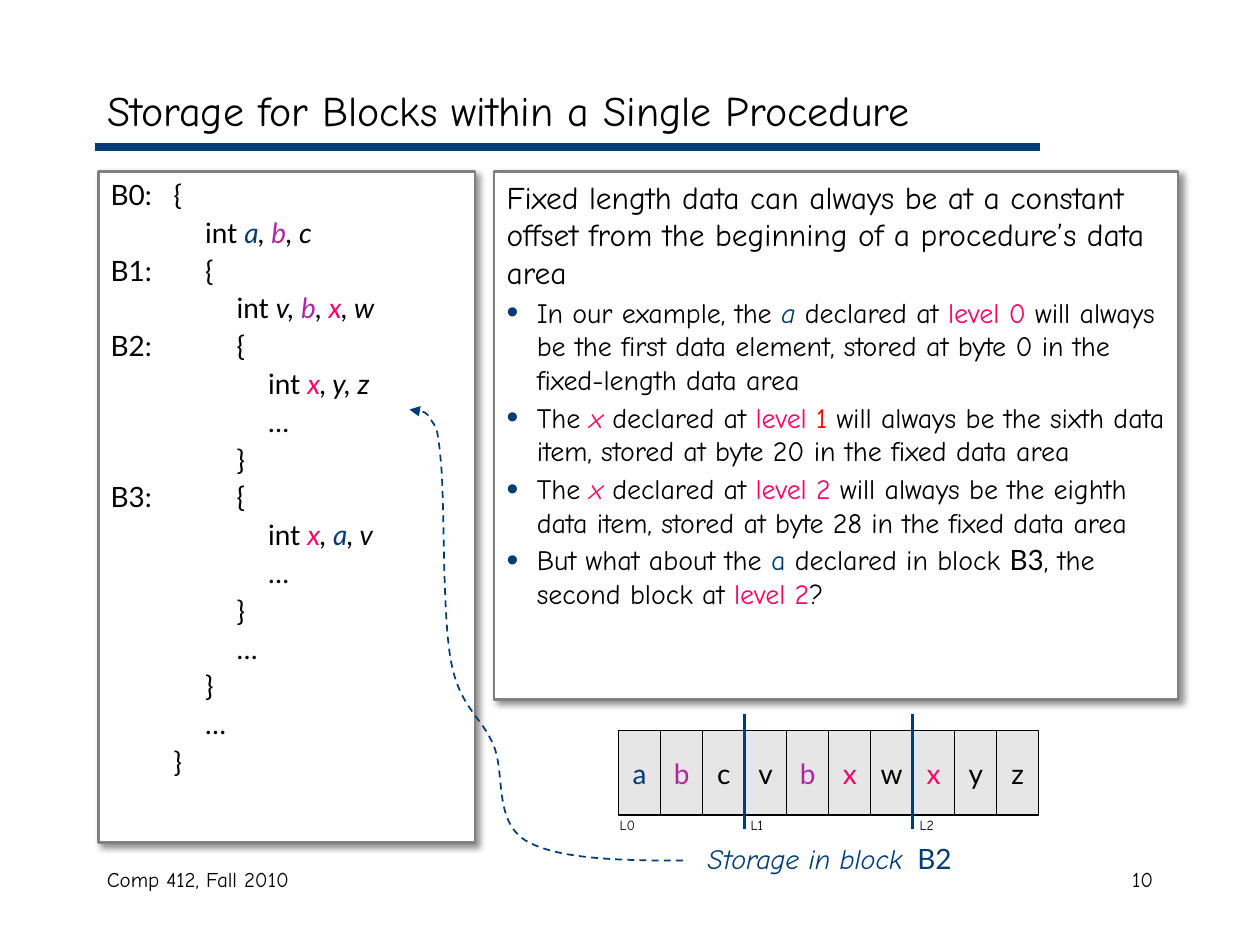
"""Build the slide on storage for blocks within a single procedure."""
from dataclasses import dataclass
from typing import NamedTuple

from lxml import etree
from pptx import Presentation
from pptx.dml.color import RGBColor
from pptx.enum.dml import MSO_LINE
from pptx.enum.shapes import MSO_CONNECTOR, MSO_SHAPE
from pptx.enum.text import MSO_ANCHOR as ANCHOR, MSO_AUTO_SIZE as AUTO, PP_ALIGN as ALIGN
from pptx.oxml.ns import qn
from pptx.util import Inches, Pt

NAVY = RGBColor(0x00, 0x3C, 0x75)
PURPLE = RGBColor(0xB0, 0x25, 0xA6)
PINK = RGBColor(0xFF, 0x00, 0x65)
RED = RGBColor(0xFF, 0x00, 0x00)
BLACK = RGBColor(0x00, 0x00, 0x00)
WHITE = RGBColor(0xFF, 0xFF, 0xFF)
GRAY = RGBColor(0x80, 0x80, 0x80)
PALE = RGBColor(0xE6, 0xE6, 0xE6)
COMIC, LATO = "Comic Neue", "Lato"
NAME_COLORS = {"a": NAVY, "b": PURPLE, "x": PINK}
TAB = 0.25


class Run(NamedTuple):
    text: str
    color: RGBColor = BLACK
    italic: bool = False
    font: str = COMIC


@dataclass
class CodeLine:
    level: int
    text: str
    label: str = ""


CODE = [
    CodeLine(2, "{", "B0:"),
    CodeLine(3, "int a, b, c"),
    CodeLine(3, "{", "B1:"),
    CodeLine(4, "int v, b, x, w"),
    CodeLine(4, "{", "B2:"),
    CodeLine(5, "int x, y, z"),
    CodeLine(5, "…"),
    CodeLine(4, "}"),
    CodeLine(4, "{", "B3:"),
    CodeLine(5, "int x, a, v"),
    CodeLine(5, "…"),
    CodeLine(4, "}"),
    CodeLine(4, "…"),
    CodeLine(3, "}"),
    CodeLine(3, "…"),
    CodeLine(2, "}"),
]
LEAD = "Fixed length data can always be at a constant offset from the beginning of a procedure’s data area"
BULLETS = [
    [Run("In our example, the "), Run("a", NAVY, True), Run(" declared at "), Run("level 0", PINK),
     Run(" will always be the first data element, stored at byte 0 in the fixed-length data area")],
    [Run("The "), Run("x", PINK, True), Run(" declared at "), Run("level ", PINK), Run("1", RED),
     Run(" will always be the sixth data item, stored at byte 20 in the fixed data area")],
    [Run("The "), Run("x", PINK, True), Run(" declared at "), Run("level 2", PINK),
     Run(" will always be the eighth data item, stored at byte 28 in the fixed data area")],
    [Run("But what about the "), Run("a ", NAVY), Run("declared in block "), Run("B3", font=LATO),
     Run(", the second block at "), Run("level 2", PINK), Run("?")],
]
CURVE_START = (542, 683)
CURVE = [
    [(492, 683), (442, 682), (417, 667)],
    [(392, 651), (401, 615), (392, 592)],
    [(382, 568), (365, 562), (358, 525)],
    [(351, 488), (353, 399), (350, 367)],
    [(347, 335), (346, 340), (342, 333)],
    [(338, 326), (331, 326), (325, 325)],
]


def add_run(p, text: str, *, size: float, font: str = COMIC,
            color: RGBColor = BLACK, italic: bool = False) -> None:
    r = p.add_run()
    r.text = text
    r.font.size, r.font.name, r.font.italic = Pt(size), font, italic
    r.font.color.rgb = color


def sub(parent, tag: str, **attrs: str):
    return etree.SubElement(parent, qn(tag), attrs)


def place(sp, x: float, y: float, w: float, h: float) -> None:
    sp.left, sp.top, sp.width, sp.height = (Inches(v) for v in (x, y, w, h))


def style_box(sp, fill: RGBColor, line: RGBColor, width: float) -> None:
    sp.shadow.inherit = False
    sp.fill.solid()
    sp.fill.fore_color.rgb = fill
    sp.line.color.rgb = line
    sp.line.width = Pt(width)


def style_panel(sp) -> None:
    style_box(sp, WHITE, GRAY, 1.5)
    effects = sp.element.spPr.find(qn("a:effectLst"))
    shadow = sub(effects, "a:outerShdw", blurRad=str(Pt(4)), dist=str(Pt(3)),
                 dir="2700000", algn="tl", rotWithShape="0")
    sub(sub(shadow, "a:srgbClr", val=str(BLACK)), "a:alpha", val="43000")
    tf = sp.text_frame
    tf.word_wrap, tf.auto_size, tf.vertical_anchor = True, AUTO.NONE, ANCHOR.TOP


def add_text(s, x: float, y: float, w: float, h: float, align=ALIGN.LEFT):
    tf = s.shapes.add_textbox(*(Inches(v) for v in (x, y, w, h))).text_frame
    tf.word_wrap = True
    p = tf.paragraphs[0]
    p.alignment = align
    return p


def add_line(s, x1: float, y1: float, x2: float, y2: float, width: float) -> None:
    line = s.shapes.add_connector(MSO_CONNECTOR.STRAIGHT, *(Inches(v) for v in (x1, y1, x2, y2)))
    line.line.color.rgb = NAVY
    line.line.width = Pt(width)
    sub(line.element.spPr, "a:effectLst")


def fill_body(sp) -> None:
    place(sp, 3.92, 1.36, 5.43, 4.19)
    style_panel(sp)
    tf = sp.text_frame
    p = tf.paragraphs[0]
    pPr = p._p.get_or_add_pPr()
    pPr.set("marL", "0")
    pPr.set("indent", "0")
    sub(pPr, "a:buNone")
    p.space_before = Pt(0)
    add_run(p, LEAD, size=18)
    for runs in BULLETS:
        p = tf.add_paragraph()
        pPr = p._p.get_or_add_pPr()
        pPr.set("marL", str(Inches(0.24)))
        pPr.set("indent", str(Inches(-0.24)))
        sub(sub(pPr, "a:buClr"), "a:srgbClr", val=str(NAVY))
        sub(pPr, "a:buSzPct", val="120000")
        sub(pPr, "a:buChar", char="•")
        p.space_before = Pt(2.4)
        for run in runs:
            add_run(p, run.text, size=16, font=run.font, color=run.color, italic=run.italic)


def add_code(s) -> None:
    sp = s.shapes.add_shape(MSO_SHAPE.RECTANGLE, 0, 0, 0, 0)
    place(sp, 0.78, 1.36, 2.99, 5.33)
    style_panel(sp)
    tf = sp.text_frame
    for i, line in enumerate(CODE):
        p = tf.add_paragraph() if i else tf.paragraphs[0]
        tabs = sub(p._p.get_or_add_pPr(), "a:tabLst")
        for stop in range(1, 6):
            sub(tabs, "a:tab", pos=str(Inches(TAB * stop)), algn="l")
        p.alignment = ALIGN.LEFT
        p.space_before = Pt(2.4 if i else 0)
        lead = line.label + "\t" * (line.level - bool(line.label))
        if not line.text.startswith("int "):
            add_run(p, lead + line.text, size=16, font=LATO)
            continue
        add_run(p, lead + "int ", size=16, font=LATO)
        for j, name in enumerate(line.text[4:].split(", ")):
            if j:
                add_run(p, ", ", size=16, font=LATO, italic=True)
            add_run(p, name, size=16, font=LATO, color=NAME_COLORS.get(name, BLACK), italic=True)


def add_curve(s) -> None:
    builder = s.shapes.build_freeform(*CURVE_START, scale=Inches(0.01))
    builder.add_line_segments([seg[-1] for seg in CURVE], close=False)
    sp = builder.convert_to_shape()
    sp.shadow.inherit = False
    sp.fill.background()
    sp.line.color.rgb = NAVY
    sp.line.width = Pt(1)
    sp.line.dash_style = MSO_LINE.DASH
    spPr = sp.element.spPr
    sub(spPr.find(qn("a:ln")), "a:tailEnd", type="triangle")
    left, top = CURVE[-1][-1]
    for to, seg in zip(list(spPr.iter(qn("a:lnTo"))), CURVE):
        bez = etree.Element(qn("a:cubicBezTo"))
        for x, y in seg:
            sub(bez, "a:pt", x=str(x - left), y=str(y - top))
        to.getparent().replace(to, bez)


def add_storage(s) -> None:
    p = add_text(s, 5.25, 6.63, 2.67, 0.37, ALIGN.CENTER)
    add_run(p, "Storage in block ", size=16, color=NAVY, italic=True)
    add_run(p, " ", size=9, color=NAVY)
    add_run(p, "B2", size=16, font=LATO, color=NAVY)
    add_curve(s)
    for i, name in enumerate("abcvbxwxyz"):
        sp = s.shapes.add_shape(MSO_SHAPE.RECTANGLE, 0, 0, 0, 0)
        place(sp, 4.91 + i / 3, 5.8, 1 / 3, 0.67)
        style_box(sp, PALE, BLACK, 0.75)
        tf = sp.text_frame
        tf.word_wrap, tf.vertical_anchor = False, ANCHOR.MIDDLE
        tf.paragraphs[0].alignment = ALIGN.CENTER
        add_run(tf.paragraphs[0], name, size=16, font=LATO, color=NAME_COLORS.get(name, BLACK))
    for x in (5.91, 7.24):
        add_line(s, x, 5.67, x, 6.58, 1.5)
    for text, x in (("L0", 4.82), ("L1", 5.86), ("L2", 7.2)):
        add_run(add_text(s, x, 6.43, 0.33, 0.23), text, size=8)


def main() -> None:
    prs = Presentation()
    prs.slide_width, prs.slide_height = Inches(10), Inches(7.5)
    s = prs.slides.add_slide(prs.slide_layouts[1])
    title, body = s.placeholders
    place(title, 0.75, 0.58, 8.5, 0.58)
    title.text_frame.auto_size = AUTO.NONE
    title.text_frame.vertical_anchor = ANCHOR.MIDDLE
    p = title.text_frame.paragraphs[0]
    p.alignment = ALIGN.LEFT
    add_run(p, "Storage for Blocks within a Single Procedure", size=24)
    add_line(s, 0.75, 1.17, 8.25, 1.17, 4.5)
    add_run(add_text(s, 0.75, 6.83, 3.17, 0.5), "Comp 412, Fall 2010", size=12)
    add_run(add_text(s, 7.17, 6.83, 2.08, 0.5, ALIGN.RIGHT), "10", size=12)
    fill_body(body)
    add_code(s)
    add_storage(s)
    prs.save("out.pptx")


if __name__ == "__main__":
    main()
